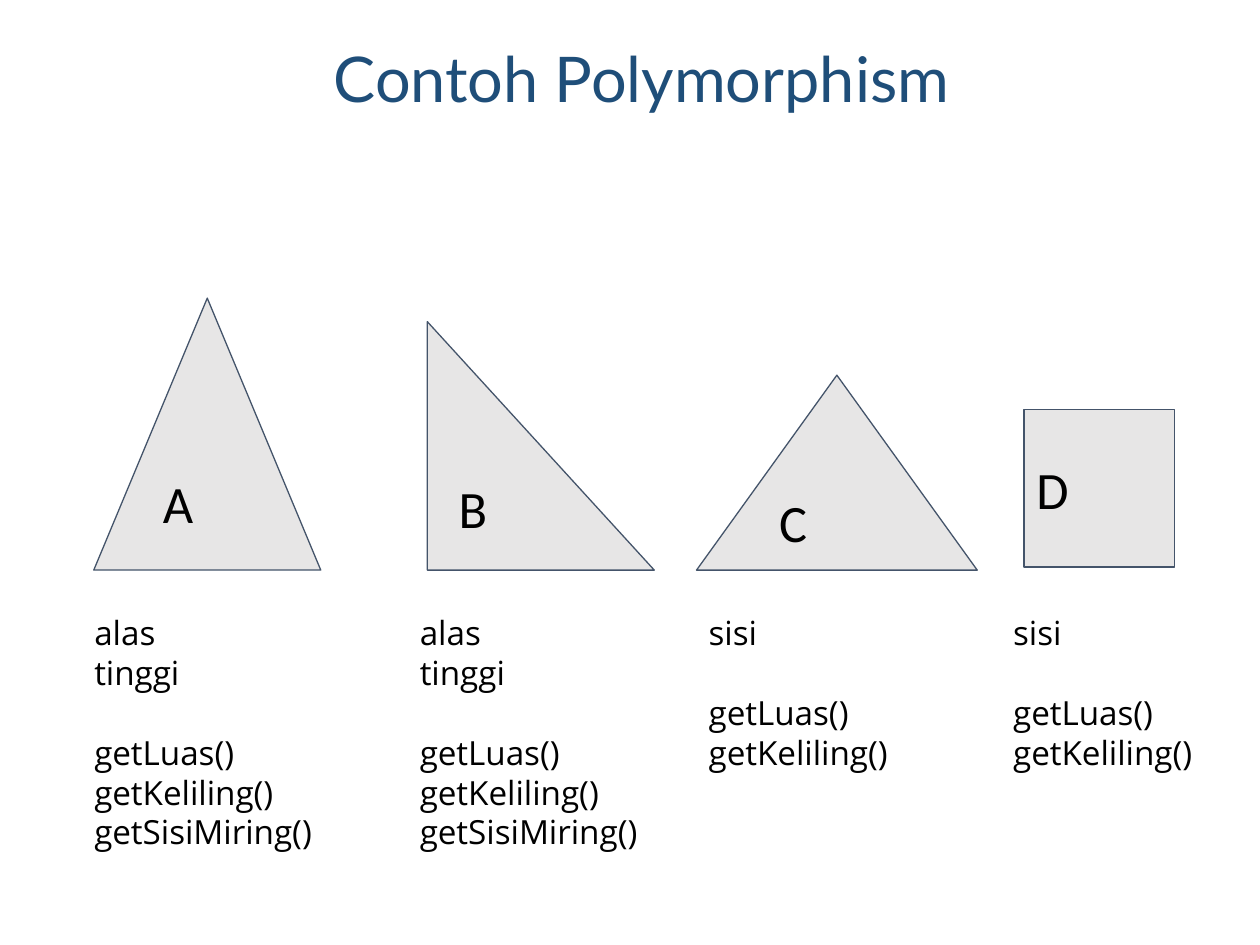
from pptx import Presentation
from pptx.dml.color import RGBColor
from pptx.enum.shapes import MSO_SHAPE as Shape
from pptx.enum.text import MSO_ANCHOR as Anchor, MSO_AUTO_SIZE as AutoSize, PP_ALIGN as Align
from pptx.util import Pt

INSET = 7.2
LIST_TOP, LIST_WIDTH = 342.7, 160.6
LIST_SIZE, LIST_GAP = 19, 22.8

TRIANGLE_METHODS = ["getLuas()", "getKeliling()", "getSisiMiring()"]
BASIC_METHODS = TRIANGLE_METHODS[:2]

# kind, label, (left, top, width, height), list left, list height, attributes, methods
FIGURES = [
    (Shape.ISOSCELES_TRIANGLE, "A", (53.6, 170.4, 129.7, 155.4),
     46.8, 152.6, ["alas", "tinggi"], TRIANGLE_METHODS),
    (Shape.RIGHT_TRIANGLE, "B", (244.2, 183.8, 129.7, 142),
     232.8, 152.6, ["alas", "tinggi"], TRIANGLE_METHODS),
    (Shape.FLOWCHART_EXTRACT, "C", (398, 214.4, 160.4, 111.4),
     397.9, 129.6, ["sisi"], BASIC_METHODS),
    (Shape.RECTANGLE, "D", (585.1, 234, 86.2, 90),
     571.9, 129.6, ["sisi"], BASIC_METHODS),
]


def rgb(color):
    return RGBColor.from_string(color)


def set_frame(tf, anchor, top=INSET):
    tf.word_wrap = True
    tf.vertical_anchor = anchor
    tf.margin_left = tf.margin_right = tf.margin_bottom = Pt(INSET)
    tf.margin_top = Pt(top)


def add_run(p, text, font, size, color="000000"):
    p.alignment = Align.LEFT
    r = p.add_run()
    r.text = text
    r.font.name = font
    r.font.size = Pt(size)
    r.font.color.rgb = rgb(color)


def add_title(s, text):
    tf = s.shapes.add_textbox(Pt(183.6), Pt(21.6), Pt(476.6), Pt(90)).text_frame
    set_frame(tf, Anchor.TOP, top=6)
    p = tf.paragraphs[0]
    p.line_spacing = 0.9
    add_run(p, text, "Lato", 36, "1F4E79")


def add_figure(s, kind, label, box):
    sp = s.shapes.add_shape(kind, *map(Pt, box))
    sp.shadow.inherit = False
    sp.fill.solid()
    sp.fill.fore_color.rgb = rgb("E7E6E6")
    sp.line.color.rgb = rgb("44546A")
    sp.line.width = Pt(0.75)
    set_frame(sp.text_frame, Anchor.MIDDLE)
    add_run(sp.text_frame.paragraphs[0], label, "Calibri", 30)


def add_members(s, left, height, attributes, methods):
    """List the attributes, then the methods after a gap of one line."""
    tf = s.shapes.add_textbox(Pt(left), Pt(LIST_TOP), Pt(LIST_WIDTH), Pt(height)).text_frame
    set_frame(tf, Anchor.TOP)
    tf.auto_size = AutoSize.SHAPE_TO_FIT_TEXT
    for i, name in enumerate(attributes + methods):
        p = tf.add_paragraph() if i else tf.paragraphs[0]
        if i == len(attributes):
            p.space_before = Pt(LIST_GAP)
        add_run(p, name, "Open Sans", LIST_SIZE)


def main():
    prs = Presentation()
    prs.slide_width, prs.slide_height = Pt(720), Pt(540)
    s = prs.slides.add_slide(prs.slide_layouts[6])
    add_title(s, "Contoh Polymorphism")
    for kind, label, box, left, height, attributes, methods in FIGURES:
        add_figure(s, kind, label, box)
        add_members(s, left, height, attributes, methods)
    prs.save("out.pptx")


if __name__ == "__main__":
    main()
